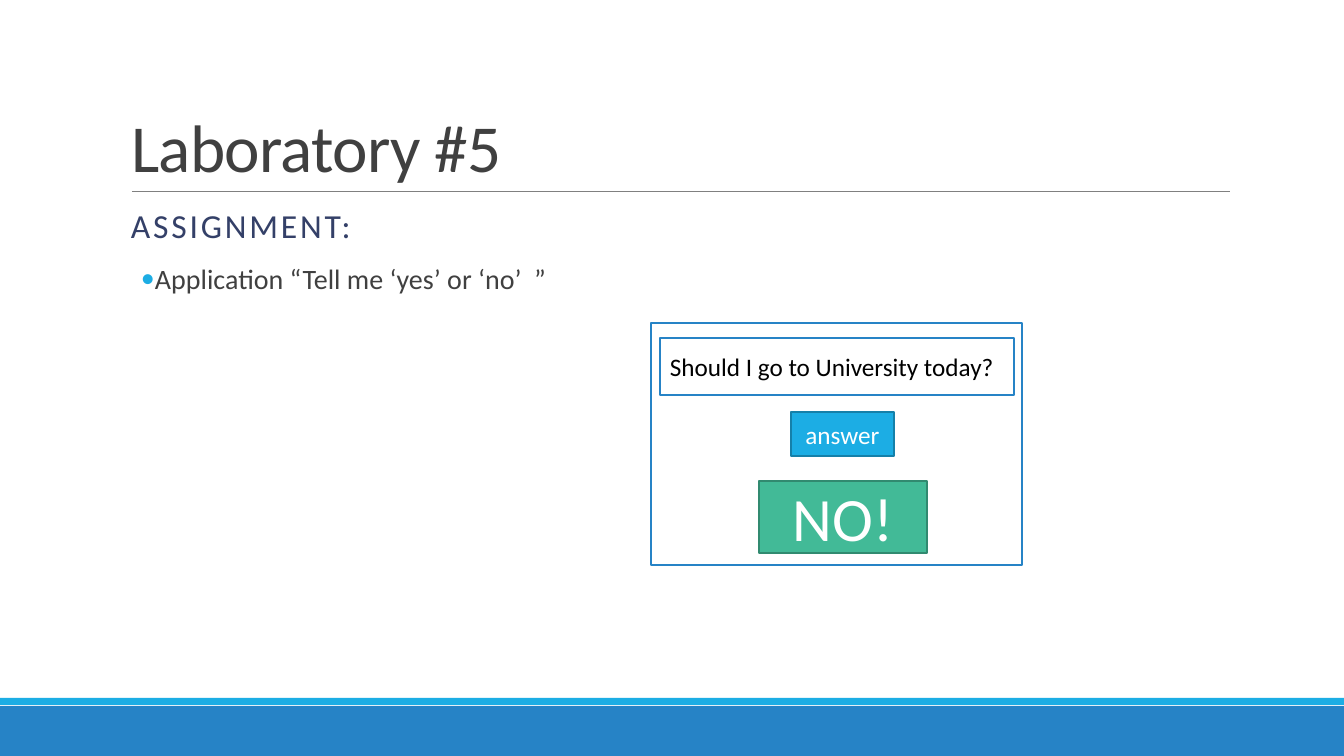
from lxml import etree
from pptx import Presentation
from pptx.dml.color import RGBColor
from pptx.enum.shapes import MSO_CONNECTOR, MSO_SHAPE
from pptx.enum.text import MSO_ANCHOR, MSO_AUTO_SIZE, PP_ALIGN
from pptx.oxml.ns import qn
from pptx.util import Pt

RECT = MSO_SHAPE.RECTANGLE
STRAIGHT = MSO_CONNECTOR.STRAIGHT
TOP, MIDDLE, BOTTOM = MSO_ANCHOR.TOP, MSO_ANCHOR.MIDDLE, MSO_ANCHOR.BOTTOM
LEFT, CENTER = PP_ALIGN.LEFT, PP_ALIGN.CENTER
NO_FIT = MSO_AUTO_SIZE.NONE

WHITE = RGBColor(0xFF, 0xFF, 0xFF)
BLACK = RGBColor(0, 0, 0)
CHARCOAL = RGBColor(0x40, 0x40, 0x40)
GRAY = RGBColor(0x80, 0x80, 0x80)
NAVY = RGBColor(0x34, 0x40, 0x68)
BLUE = RGBColor(0x26, 0x83, 0xC6)
CYAN = RGBColor(0x1C, 0xAD, 0xE4)
DARK_CYAN = RGBColor(0x15, 0x80, 0xA9)
GREEN = RGBColor(0x42, 0xBA, 0x97)
DARK_GREEN = RGBColor(0x31, 0x8A, 0x70)

FONT = "Calibri"
SLIDE_W, SLIDE_H = 1344, 756
EMU_PER_PX = 914400 / 100.8


def px(*values):
    return [round(v * EMU_PER_PX) for v in values]


def set_all(target, values):
    for name, value in values.items():
        setattr(target, name, value)


def place(sp, box):
    set_all(sp, dict(zip(("left", "top", "width", "height"), px(*box))))


def write(p, text, size, color, spacing=0, **fmt):
    set_all(p, fmt)
    r = p.add_run()
    r.text = text
    set_all(r.font, {"name": FONT, "size": Pt(size), "bold": False})
    r.font.color.rgb = color
    if spacing:
        r.font._element.set("spc", str(round(spacing * 100)))


def set_indent(p, margin, first, bullet=None):
    pPr = p._p.get_or_add_pPr()
    left, indent = px(margin, first)
    pPr.set("marL", str(left))
    pPr.set("indent", str(indent))
    if bullet:
        buClr = etree.SubElement(pPr, qn("a:buClr"))
        etree.SubElement(buClr, qn("a:srgbClr")).set("val", str(CYAN))
        etree.SubElement(pPr, qn("a:buFont")).set("typeface", FONT)
        etree.SubElement(pPr, qn("a:buChar")).set("char", bullet)
    else:
        etree.SubElement(pPr, qn("a:buNone"))


def add_box(s, box, fill, line=None, text=None, size=18):
    sp = s.shapes.add_shape(RECT, *px(*box))
    sp.shadow.inherit = False
    sp.fill.solid()
    sp.fill.fore_color.rgb = fill
    if line is None:
        sp.line.fill.background()
    else:
        sp.line.color.rgb = line
        sp.line.width = Pt(1.25)
    if text:
        sp.text_frame.vertical_anchor = MIDDLE
        write(sp.text_frame.paragraphs[0], text, size, WHITE, alignment=CENTER)


def add_rule(s, x1, x2, y):
    line = s.shapes.add_connector(STRAIGHT, *px(x1, y, x2, y))
    line.line.color.rgb = GRAY
    line.line.width = Pt(0.5)
    etree.SubElement(line._element.spPr, qn("a:effectLst"))


def add_label(s, box, text):
    sp = s.shapes.add_textbox(*px(*box))
    sp.text_frame.word_wrap = False
    write(sp.text_frame.paragraphs[0], text, 18, BLACK)


def fill_title(s, box, text):
    sp = s.shapes.title
    place(sp, box)
    set_all(sp.text_frame, {"vertical_anchor": BOTTOM, "auto_size": NO_FIT})
    write(sp.text_frame.paragraphs[0], text, 48, CHARCOAL, -0.5,
          alignment=LEFT, line_spacing=0.85)


def fill_body(s, box, heading, items):
    sp = s.placeholders[1]
    place(sp, box)
    tf = sp.text_frame
    set_all(tf, {"margin_left": 0, "margin_right": 0,
                 "vertical_anchor": TOP, "auto_size": NO_FIT})
    spacing = {"line_spacing": 0.9, "space_before": Pt(12), "space_after": Pt(2)}
    p = tf.paragraphs[0]
    write(p, heading, 24, NAVY, 2, **spacing)
    set_indent(p, 10, 0)
    for item in items:
        p = tf.add_paragraph()
        write(p, item, 20, CHARCOAL, **spacing)
        set_indent(p, 10, 10, "•")


def add_app_window(s):
    add_box(s, (651, 323, 371, 242), WHITE, BLUE)
    add_box(s, (660, 338, 354, 57), WHITE, BLUE)
    add_box(s, (791, 412, 103, 44), CYAN, DARK_CYAN, "answer")
    add_box(s, (759, 481, 168, 72), GREEN, DARK_GREEN, "NO!", 44)
    add_label(s, (660, 346, 348, 40), "Should I go to University today?")


def main():
    prs = Presentation()
    prs.slide_width, prs.slide_height = px(SLIDE_W, SLIDE_H)
    s = prs.slides.add_slide(prs.slide_layouts[1])
    add_box(s, (0, 706, SLIDE_W, 50), BLUE)
    add_box(s, (0, 698, SLIDE_W, 7), CYAN)
    add_rule(s, 132, 1230, 191)
    fill_title(s, (121, 31, 1109, 160), "Laboratory #5")
    fill_body(s, (121, 204, 1109, 444), "ASSIGNMENT:",
              ["Application “Tell me ‘yes’ or ‘no’  ”"])
    add_app_window(s)
    prs.save("out.pptx")


main()
